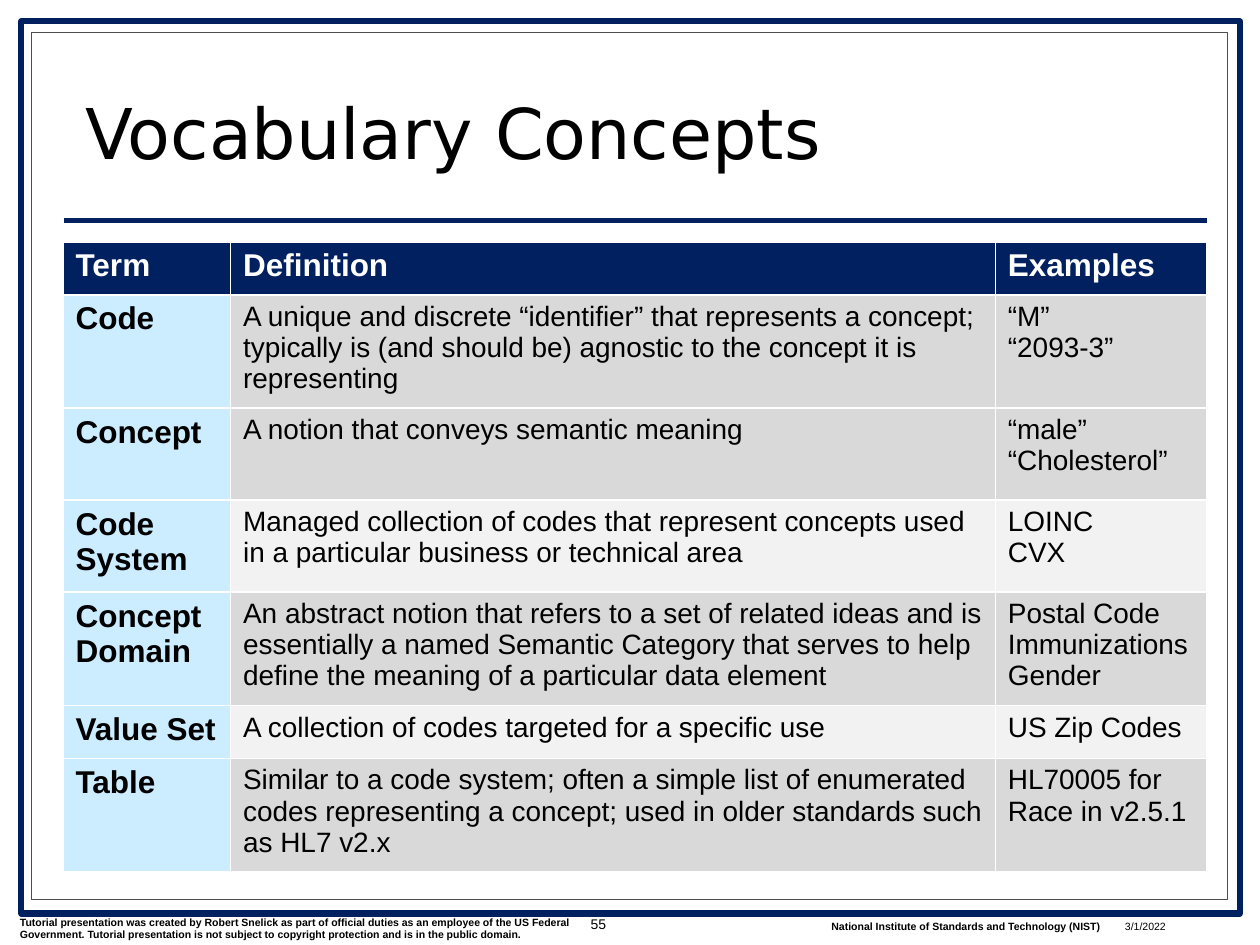
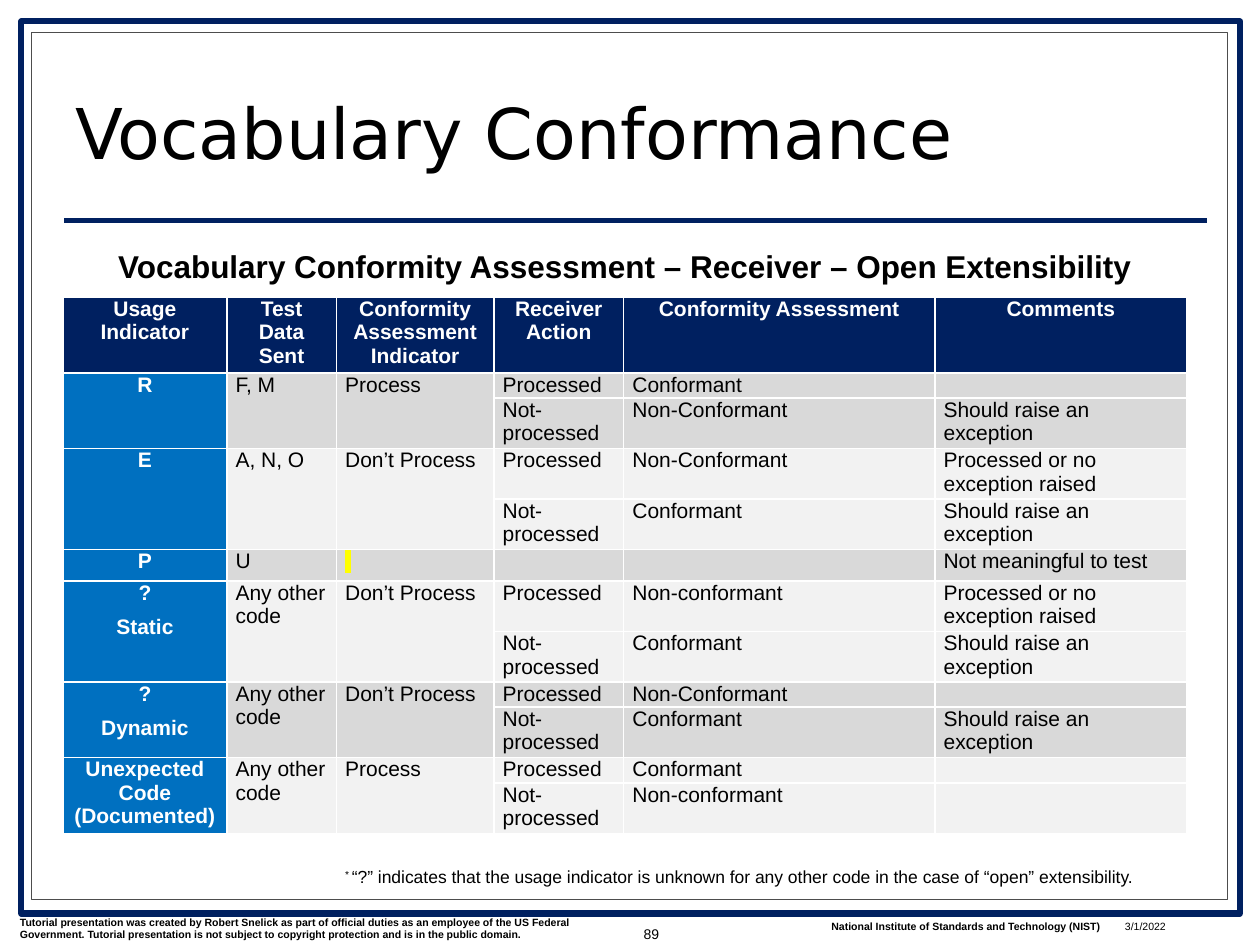
from lxml.etree import SubElement
from pptx import Presentation
from pptx.dml.color import RGBColor
from pptx.enum.shapes import MSO_CONNECTOR as CONNECTOR, MSO_SHAPE as SHAPE
from pptx.enum.text import MSO_ANCHOR as ANCHOR, PP_ALIGN as ALIGN
from pptx.oxml.ns import qn
from pptx.util import Inches, Pt

COLORS = {
    "navy": "002060", "blue": "0070C0", "sky": "CCECFF", "white": "FFFFFF",
    "black": "000000", "frame": "4D4D4D", "dark": "D9D9D9", "light": "F2F2F2",
    "mark": "FFFF00",
}
RGB = {name: RGBColor.from_string(value) for name, value in COLORS.items()}


def write(frame, text, size, color="black", bold=False, align=ALIGN.LEFT,
          font="Arial", before=0, after=0):
    """Fill a text frame, one paragraph per line of text."""
    frame.word_wrap = True
    for i, line in enumerate(text.split("\n")):
        paragraph = frame.paragraphs[0] if i == 0 else frame.add_paragraph()
        paragraph.alignment = align
        paragraph.space_before, paragraph.space_after = Pt(before), Pt(after)
        paragraph.font.name, paragraph.font.size = font, Pt(size)
        paragraph.font.bold = bold
        paragraph.font.color.rgb = RGB[color]
        if line:
            paragraph.add_run().text = line
        else:  # an empty cell keeps the height of its text size
            SubElement(paragraph._p, qn("a:endParaRPr"), sz=str(size * 100))


def add_text(slide, box, text, size, anchor=ANCHOR.TOP, **style):
    frame = slide.shapes.add_textbox(*map(Inches, box)).text_frame
    frame.vertical_anchor = anchor
    write(frame, text, size, **style)
    return frame


prs = Presentation()
prs.slide_width, prs.slide_height = Inches(10), Inches(7.5)

# Shared frame, title and footer
slides = []
for title, title_left, title_width, number, number_left, number_top in [
    ("Vocabulary Concepts", 0.58, 8.92, "55", 4.33, 7.07),
    ("Vocabulary Conformance", 0.5, 9.08, "89", 4.75, 7.15),
]:
    slide = prs.slides.add_slide(prs.slide_layouts[6])
    slides.append(slide)
    for box, color, width in [((0.17, 0.17, 9.67, 7.08), "navy", 3.5),
                              ((0.25, 0.26, 9.49, 6.88), "frame", 0.75)]:
        border = slide.shapes.add_shape(SHAPE.RECTANGLE, *map(Inches, box))
        border.shadow.inherit = False
        border.fill.solid()
        border.fill.fore_color.rgb = RGB["white"]
        border.line.color.rgb = RGB[color]
        border.line.width = Pt(width)
    rule = slide.shapes.add_connector(
        CONNECTOR.STRAIGHT, Inches(0.51), Inches(1.75), Inches(9.58), Inches(1.75))
    rule.line.color.rgb = RGB["navy"]
    rule.line.width = Pt(3)
    SubElement(rule._element.spPr, qn("a:effectLst"))

    add_text(slide, (0.06, 7.22, 4.83, 0.3),
             "Tutorial presentation was created by Robert Snelick as part of official "
             "duties as an employee of the US Federal Government. Tutorial presentation "
             "is not subject to copyright protection and is in the public domain.",
             6, bold=True)
    add_text(slide, (6.5, 7.25, 2.38, 0.2),
             "National Institute of Standards and Technology (NIST)", 6, bold=True)
    heading = add_text(slide, (title_left, 0.52, title_width, 0.9), title, 40,
                       anchor=ANCHOR.BOTTOM, font="DejaVu Sans")
    heading.paragraphs[0].line_spacing = 0.8
    add_text(slide, (8.83, 7.25, 0.92, 0.17), "3/1/2022", 6)
    add_text(slide, (number_left, number_top, 0.58, 0.52), number, 8,
             anchor=ANCHOR.MIDDLE, align=ALIGN.RIGHT)

concepts_slide, conformance_slide = slides

# Slide 1: terms, definitions and examples, with row height and shade
concepts = [
    (0.42, "navy", "Term", "Definition", "Examples"),
    (0.84, "dark", "Code",
     "A unique and discrete “identifier” that represents a concept; typically is "
     "(and should be) agnostic to the concept it is representing",
     "“M”\n“2093-3”"),
    (0.73, "dark", "Concept", "A notion that conveys semantic meaning",
     "“male”\n“Cholesterol”"),
    (0.73, "light", "Code System",
     "Managed collection of codes that represent concepts used in a particular "
     "business or technical area", "LOINC\nCVX"),
    (0.84, "dark", "Concept Domain",
     "An abstract notion that refers to a set of related ideas and is essentially a "
     "named Semantic Category that serves to help define the meaning of a particular "
     "data element", "Postal Code\nImmunizations\nGender"),
    (0.42, "light", "Value Set", "A collection of codes targeted for a specific use",
     "US Zip Codes"),
    (0.89, "dark", "Table",
     "Similar to a code system; often a simple list of enumerated codes representing "
     "a concept; used in older standards such as HL7 v2.x",
     "HL70005 for Race in v2.5.1"),
]
terms = concepts_slide.shapes.add_table(
    len(concepts), 3, Inches(0.5), Inches(1.92), Inches(9.08), Inches(4.87)).table
terms.horz_banding = False
for column, width in zip(terms.columns, (1.33, 6.07, 1.68)):
    column.width = Inches(width)
for r, (height, shade, *texts) in enumerate(concepts):
    terms.rows[r].height = Inches(height)
    for c, text in enumerate(texts):
        cell = terms.cell(r, c)
        strong = r == 0 or c == 0
        cell.fill.solid()
        cell.fill.fore_color.rgb = RGB["sky" if r and c == 0 else shade]
        write(cell.text_frame, text, 18 if strong else 16, bold=strong,
              color="black" if r else "white")

# Slide 2: subtitle and footnote
add_text(conformance_slide, (0.5, 1.91, 8.92, 0.4),
         "Vocabulary Conformity Assessment – Receiver – Open Extensibility", 18,
         bold=True, align=ALIGN.CENTER)
footnote = add_text(conformance_slide, (2.64, 6.82, 6.53, 0.27), "* ", 10,
                    anchor=ANCHOR.MIDDLE, align=ALIGN.JUSTIFY)
footnote.word_wrap = False
star_line = footnote.paragraphs[0]
star_line.runs[0].font._element.set("baseline", "30000")
star_line.add_run().text = ("“?” indicates that the usage indicator is unknown for any "
                            "other code in the case of “open” extensibility.")

# Slide 2: each usage indicator with its receiver actions
headers = ["Usage Indicator", "Test Data Sent", "Conformity Assessment Indicator",
           "Receiver Action", "Conformity Assessment", "Comments"]
done, not_done = "Processed", "Not-processed"
raise_it, no_raise = "Should raise an exception", "Processed or no exception raised"
usages = [
    ("R", "F, M", "Process",
     [(done, "Conformant", ""), (not_done, "Non-Conformant", raise_it)]),
    ("E", "A, N, O", "Don’t Process",
     [(done, "Non-Conformant", no_raise), (not_done, "Conformant", raise_it)]),
    ("P", "U", " ", [("", "", "Not meaningful to test")]),
    ("?\nStatic", "Any other code", "Don’t Process",
     [(done, "Non-conformant", no_raise), (not_done, "Conformant", raise_it)]),
    ("?\nDynamic", "Any other code", "Don’t Process",
     [(done, "Non-Conformant", ""), (not_done, "Conformant", raise_it)]),
    ("Unexpected Code\n(Documented)".replace("\n", " "), "Any other code", "Process",
     [(done, "Conformant", ""), (not_done, "Non-conformant", "")]),
]
rows = [("navy", headers)]
spans = []
for i, (*usage, actions) in enumerate(usages):
    if len(actions) == 2:
        spans.append(len(rows))
    for j, action in enumerate(actions):
        lead = usage if j == 0 else [None] * 3
        rows.append((("dark", "light")[i % 2], [*lead, *action]))

heights = [0.6, 0.2, 0.4, 0.4, 0.4, 0.25, 0.4, 0.4, 0.2, 0.4, 0.2, 0.4]
assessment = conformance_slide.shapes.add_table(
    len(rows), 6, Inches(0.5), Inches(2.36), Inches(8.92), Inches(4.25)).table
assessment.first_row = assessment.horz_banding = False
for column, width in zip(assessment.columns, (1.3, 0.87, 1.25, 1.03, 2.47, 2)):
    column.width = Inches(width)
for r, (shade, texts) in enumerate(rows):
    assessment.rows[r].height = Inches(heights[r])
    for c, text in enumerate(texts):
        cell = assessment.cell(r, c)
        strong = r == 0 or c == 0
        cell.margin_left = cell.margin_right = Inches(0.07)
        cell.margin_top = cell.margin_bottom = 0
        cell.fill.solid()
        cell.fill.fore_color.rgb = RGB["blue" if r and c == 0 else shade]
        write(cell.text_frame, text or "", 12, bold=strong,
              color="white" if strong else "black",
              align=ALIGN.CENTER if strong else ALIGN.LEFT,
              before=3 if r else 1, after=3 if r else 6)
        if text == " ":  # highlighted blank
            mark = SubElement(cell.text_frame.paragraphs[0].runs[0].font._element,
                              qn("a:highlight"))
            SubElement(mark, qn("a:srgbClr"), val=COLORS["mark"])
for top in spans:
    for c in range(3):
        assessment.cell(top, c).merge(assessment.cell(top + 1, c))

prs.save("out.pptx")
